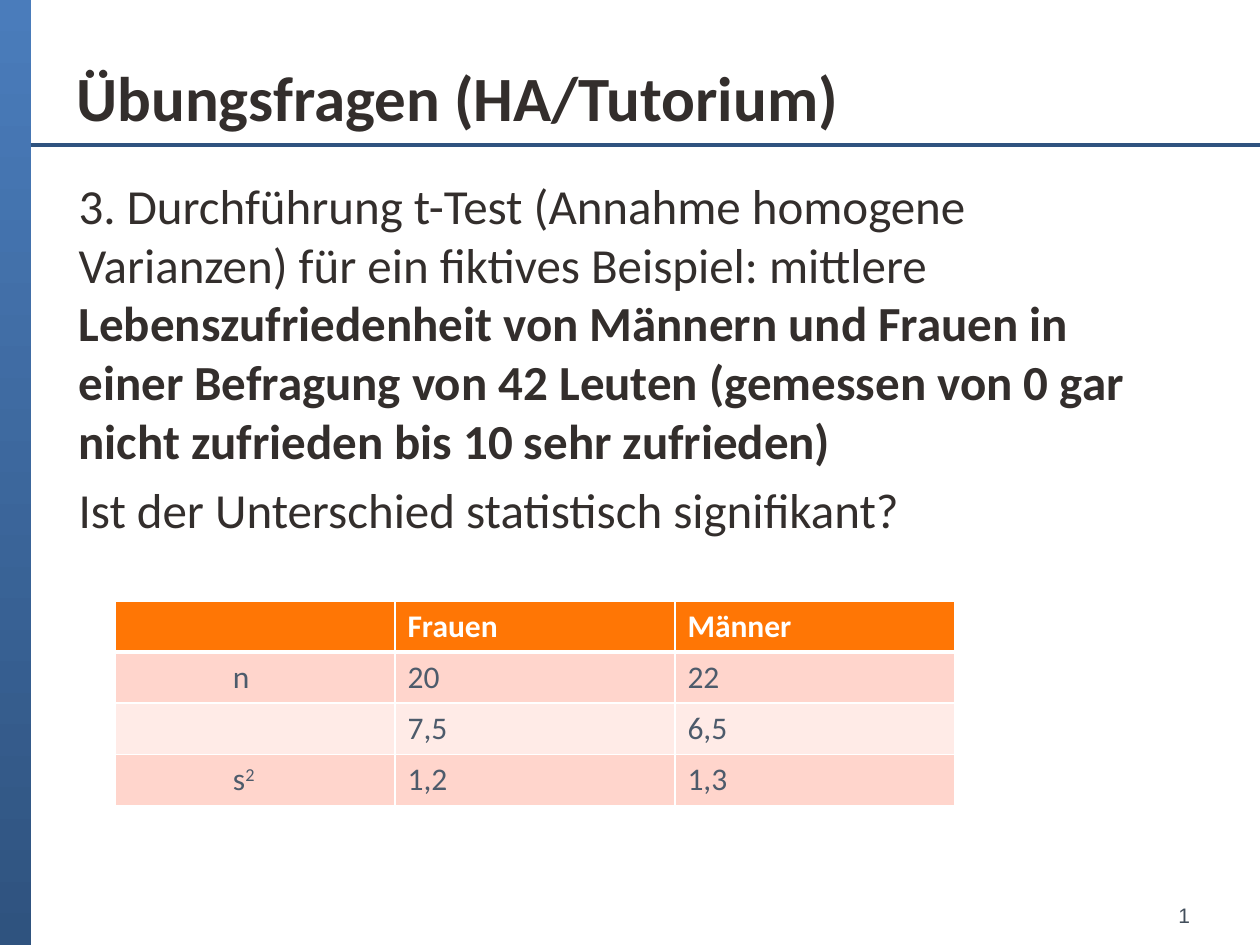
"""Build the exercise slide on a t-test with a small table of group statistics."""

from dataclasses import dataclass

from lxml.etree import SubElement
from pptx import Presentation
from pptx.dml.color import RGBColor
from pptx.enum.shapes import MSO_CONNECTOR, MSO_SHAPE
from pptx.enum.text import MSO_ANCHOR, MSO_AUTO_SIZE, PP_ALIGN
from pptx.oxml.ns import qn
from pptx.util import Pt

EMU_PER_PX = 914400 / 126
COLORS = {
    "text": "332E2C",
    "bar_top": "4A7CBB",
    "bar_bottom": "2F537F",
    "header": "FF7605",
    "odd_row": "FFD5CC",
    "even_row": "FFEBE7",
    "cell_text": "4D5B6B",
    "page_number": "424E5B",
    "white": "FFFFFF",
}


@dataclass(frozen=True)
class Box:
    left: int
    top: int
    width: int
    height: int

    def emu(self) -> tuple[int, ...]:
        return tuple(map(px, (self.left, self.top, self.width, self.height)))


@dataclass(frozen=True)
class Style:
    size: int
    color: str
    bold: bool = False
    font: str = "Calibri"


@dataclass(frozen=True)
class TableRow:
    label: str
    women: str
    men: str
    fill: str
    exponent: str = ""


TITLE = Style(36, "text", True)
BODY = Style(28, "text")
STRONG = Style(28, "text", True)
HEADER = Style(18, "white", True)
CELL = Style(18, "cell_text")
NUMBER = Style(12, "page_number", font="Arial")

QUESTION = [
    [
        ("3. Durchführung t-Test (Annahme homogene Varianzen) für ein fiktives "
         "Beispiel: mittlere ", BODY),
        ("Lebenszufriedenheit von Männern und Frauen in einer Befragung von 42 Leuten "
         "(gemessen von 0 gar nicht zufrieden bis 10 sehr zufrieden)", STRONG),
    ],
    [("Ist der Unterschied statistisch signifikant?", BODY)],
]
ROWS = [
    TableRow("", "Frauen", "Männer", "header"),
    TableRow("n", "20", "22", "odd_row"),
    TableRow("", "7,5", "6,5", "even_row"),
    TableRow("s", "1,2", "1,3", "odd_row", "2"),
]


def px(length: int) -> int:
    return round(length * EMU_PER_PX)


def color(name: str) -> RGBColor:
    return RGBColor.from_string(COLORS[name])


def add_span(para, text: str, style: Style):
    span = para.add_run()
    span.text = text
    span.font.name = style.font
    span.font.size = Pt(style.size)
    span.font.bold = style.bold
    span.font.color.rgb = color(style.color)
    return span


def place(shape, box: Box, anchor: MSO_ANCHOR):
    shape.left, shape.top, shape.width, shape.height = box.emu()
    frame = shape.text_frame
    frame.word_wrap = True
    frame.auto_size = MSO_AUTO_SIZE.NONE
    frame.vertical_anchor = anchor
    return frame


def add_side_bar(slide, box: Box) -> None:
    bar = slide.shapes.add_shape(MSO_SHAPE.RECTANGLE, *box.emu())
    bar.shadow.inherit = False
    bar.line.fill.background()
    bar.fill.gradient()
    bar.fill.gradient_angle = 270
    for stop, name, position in zip(bar.fill.gradient_stops, ("bar_top", "bar_bottom"), (0, 1)):
        stop.color.rgb = color(name)
        stop.position = position


def add_rule(slide, left: int, right: int, top: int) -> None:
    rule = slide.shapes.add_connector(
        MSO_CONNECTOR.STRAIGHT, px(left), px(top), px(right), px(top))
    rule.line.color.rgb = color("bar_bottom")
    rule.line.width = Pt(2)
    SubElement(rule._element.spPr, qn("a:effectLst"))


def add_title(slide, box: Box) -> None:
    para = place(slide.shapes.title, box, MSO_ANCHOR.BOTTOM).paragraphs[0]
    para.alignment = PP_ALIGN.LEFT
    add_span(para, "Übungsfragen (HA/Tutorium)", TITLE)


def add_question(slide, box: Box) -> None:
    frame = place(slide.placeholders[1], box, MSO_ANCHOR.TOP)
    for index, spans in enumerate(QUESTION):
        para = frame.add_paragraph() if index else frame.paragraphs[0]
        para.space_before = Pt(5.6)
        properties = para._p.get_or_add_pPr()
        properties.set("marL", "0")
        properties.set("indent", "0")
        SubElement(properties, qn("a:buNone"))
        for text, style in spans:
            add_span(para, text, style)


def add_borders(cell, top: float, bottom: float) -> None:
    properties = cell._tc.get_or_add_tcPr()
    widths = {"lnL": 0.96, "lnR": 0.96, "lnT": top, "lnB": bottom}
    for side, width in widths.items():
        line = SubElement(properties, qn(f"a:{side}"), w=str(Pt(width)))
        fill = SubElement(line, qn("a:solidFill"))
        SubElement(fill, qn("a:srgbClr"), val=COLORS["white"])


def add_statistics(slide, box: Box) -> None:
    table = slide.shapes.add_table(len(ROWS), 3, *box.emu()).table
    for row_index, row in enumerate(ROWS):
        style = CELL if row_index else HEADER
        top = 3 if row_index == 1 else 0.96
        bottom = 0.96 if row_index else 3
        for column, text in enumerate((row.label, row.women, row.men)):
            cell = table.cell(row_index, column)
            add_borders(cell, top, bottom)
            cell.fill.solid()
            cell.fill.fore_color.rgb = color(row.fill)
            para = cell.text_frame.paragraphs[0]
            para.font.size = Pt(style.size)
            if column == 0:
                cell.margin_left = px(118)
            if text:
                add_span(para, text, style)
            if column == 0 and row.exponent:
                exponent = add_span(para, row.exponent, style)
                exponent.font._element.set("baseline", "30000")


def add_page_number(slide, box: Box) -> None:
    number = slide.shapes.add_textbox(*box.emu())
    frame = place(number, box, MSO_ANCHOR.MIDDLE)
    add_span(frame.paragraphs[0], "1", NUMBER)


def main() -> None:
    deck = Presentation()
    deck.slide_width, deck.slide_height = px(1260), px(945)
    slide = deck.slides.add_slide(deck.slide_layouts[1])
    add_side_bar(slide, Box(0, 0, 31, 945))
    add_rule(slide, 31, 1260, 145)
    add_title(slide, Box(64, 30, 1032, 110))
    add_question(slide, Box(66, 169, 1100, 714))
    add_statistics(slide, Box(115, 601, 840, 204))
    add_page_number(slide, Box(1166, 900, 79, 30))
    deck.save("out.pptx")


if __name__ == "__main__":
    main()
